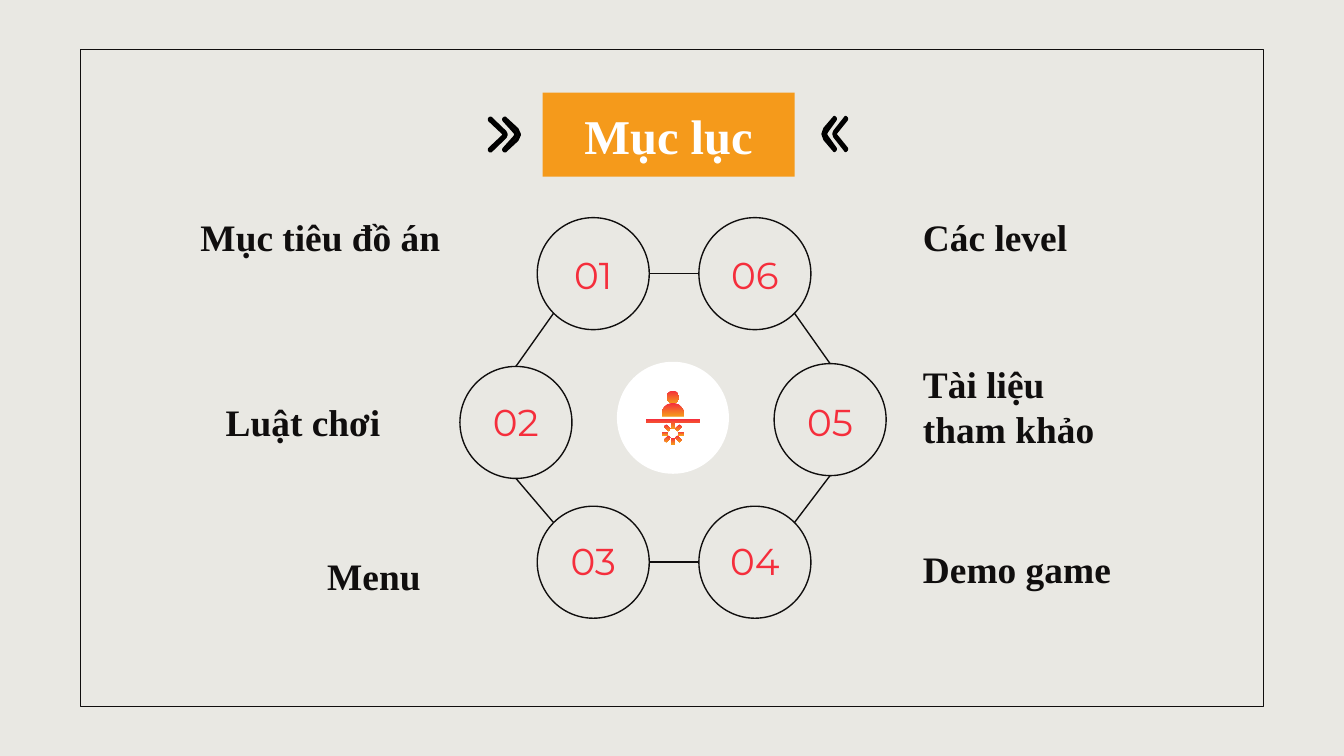
"""Build a table-of-contents slide with a ring of six numbered circles."""
from dataclasses import dataclass
from math import cos, pi, radians, sin

from lxml import etree
from pptx import Presentation
from pptx.dml.color import RGBColor
from pptx.enum.shapes import MSO_CONNECTOR, MSO_SHAPE
from pptx.enum.text import MSO_ANCHOR, MSO_AUTO_SIZE, PP_ALIGN
from pptx.oxml.ns import qn
from pptx.util import Pt

LEFT, CENTER, RIGHT = PP_ALIGN.LEFT, PP_ALIGN.CENTER, PP_ALIGN.RIGHT
MIDDLE, NO_AUTOFIT = MSO_ANCHOR.MIDDLE, MSO_AUTO_SIZE.NONE
RECTANGLE, OVAL = MSO_SHAPE.RECTANGLE, MSO_SHAPE.OVAL
STRAIGHT, CURVE = MSO_CONNECTOR.STRAIGHT, MSO_CONNECTOR.CURVE

COLORS = {
    "background": "E9E8E3",
    "ink": "100E0E",
    "black": "000000",
    "white": "FFFFFF",
    "orange": "F59A1B",
    "red": "F52E3C",
}
SERIF, SANS = "Times New Roman", "Montserrat"
DIAMETER = 60
HAIRLINE = 0.75
INSET = 7.2

BLUNT_CHEVRON = [
    (0.08, 1), (0, 0.97), (0, 0.93), (0.68, 0.57), (0.77, 0.5), (0.68, 0.43),
    (0, 0.07), (0, 0.03), (0.08, 0), (0.85, 0.34), (1, 0.5), (0.85, 0.66),
]
SHARP_CHEVRON = [
    (0.08, 1), (0, 0.97), (0, 0.93), (0.83, 0.53), (0.83, 0.47),
    (0, 0.07), (0, 0.03), (0.08, 0), (0.93, 0.42), (1, 0.5), (0.93, 0.58),
]


@dataclass(frozen=True)
class Entry:
    """A numbered circle and its label, in points."""
    number: str
    left: float
    top: float
    number_top: float
    label: str
    label_box: tuple[float, float, float, float]
    alignment: PP_ALIGN

    def rim(self, angle: float) -> tuple[float, float]:
        """Return the rim point at an angle, clockwise from the right."""
        radius = DIAMETER / 2
        return (self.left + radius * (1 + cos(radians(angle))),
                self.top + radius * (1 + sin(radians(angle))))


@dataclass(frozen=True)
class Link:
    """A line between the rims of two circles."""
    start: str
    start_angle: float
    end: str
    end_angle: float
    kind: MSO_CONNECTOR = STRAIGHT


@dataclass(frozen=True)
class Chevron:
    """An arrow mark, pointing left when mirrored."""
    left: float
    top: float
    width: float
    outline: list[tuple[float, float]]
    mirrored: bool = False


ENTRIES = [
    Entry("01", 287.8, 116.6, 133.9, "Mục tiêu đồ án", (76.3, 105.8, 190.8, 41.8), CENTER),
    Entry("02", 246.4, 196.3, 212.4, "Luật chơi", (113.8, 190.1, 119.5, 71.3), LEFT),
    Entry("03", 287.8, 271.2, 287.3, "Menu", (76.3, 287.3, 156.2, 41.8), RIGHT),
    Entry("04", 374.4, 271.2, 287.3, "Demo game", (487.4, 283.7, 156.2, 41.8), LEFT),
    Entry("05", 414.7, 194.8, 212.4, "Tài liệu tham khảo", (487.4, 196.6, 113, 41.8), LEFT),
    Entry("06", 374.4, 116.6, 133.9, "Các level", (487.4, 105.8, 156.2, 41.8), LEFT),
]
LINKS = [
    Link("01", 0, "06", 180, CURVE),
    Link("04", 180, "03", 0, CURVE),
    Link("02", -90, "01", 135),
    Link("02", 90, "03", -135),
    Link("05", 90, "04", -45),
    Link("06", 45, "05", -90),
]
CHEVRONS = [
    Chevron(262.1, 63.1, 9.2, SHARP_CHEVRON),
    Chevron(269.8, 63.1, 8.6, BLUNT_CHEVRON),
    Chevron(440.8, 62.8, 6.8, BLUNT_CHEVRON, True),
    Chevron(446.6, 62.8, 7, SHARP_CHEVRON, True),
]


def color(name: str) -> RGBColor:
    """Look up a named colour."""
    return RGBColor.from_string(COLORS[name])


def style_shape(shape, fill: str = "", line: str = "", line_width: float = HAIRLINE) -> None:
    """Set the fill and line of a shape and drop its shadow."""
    shape.shadow.inherit = False
    if fill:
        shape.fill.solid()
        shape.fill.fore_color.rgb = color(fill)
    else:
        shape.fill.background()
    if line:
        shape.line.color.rgb = color(line)
        shape.line.width = Pt(line_width)
    else:
        shape.line.fill.background()


def apply_gradient(shape) -> None:
    """Fill a shape from red at the top to orange at the bottom."""
    style_shape(shape)
    shape.fill.gradient()
    shape.fill.gradient_angle = 270
    for stop, name in zip(shape.fill.gradient_stops, ("red", "orange")):
        stop.color.rgb = color(name)


def write_text(shape, text: str, font: str, size: float, name: str,
               alignment: PP_ALIGN, bold: bool = False) -> None:
    """Write one formatted paragraph into a shape."""
    frame = shape.text_frame
    frame.text = text
    frame.word_wrap = True
    frame.auto_size = NO_AUTOFIT
    frame.vertical_anchor = MIDDLE
    frame.margin_left = frame.margin_right = Pt(INSET)
    frame.margin_top = frame.margin_bottom = Pt(INSET)
    paragraph = frame.paragraphs[0]
    paragraph.alignment = alignment
    run = paragraph.runs[0]
    run.font.name, run.font.size, run.font.bold = font, Pt(size), bold
    run.font.color.rgb = color(name)


def add_preset(slide, kind: MSO_SHAPE, box: tuple[float, float, float, float]):
    """Add a preset shape in a box given in points."""
    return slide.shapes.add_shape(kind, *map(Pt, box))


def add_polygon(slide, points: list[tuple[float, float]]):
    """Add a closed outline through points."""
    corners = [(Pt(x), Pt(y)) for x, y in points]
    builder = slide.shapes.build_freeform(*corners[0])
    builder.add_line_segments(corners[1:], close=True)
    return builder.convert_to_shape()


def add_entry(slide, entry: Entry) -> None:
    """Draw a circle with its number and label."""
    circle = add_preset(slide, OVAL, (entry.left, entry.top, DIAMETER, DIAMETER))
    style_shape(circle, line="ink")
    number = slide.shapes.add_textbox(Pt(entry.left), Pt(entry.number_top), Pt(DIAMETER), Pt(26.6))
    write_text(number, entry.number, SANS, 20, "red", CENTER)
    label = slide.shapes.add_textbox(*map(Pt, entry.label_box))
    write_text(label, entry.label, SERIF, 20, "ink", entry.alignment, bold=True)


def add_link(slide, link: Link, entries: dict[str, Entry]) -> None:
    """Draw a line between two circles."""
    start = entries[link.start].rim(link.start_angle)
    end = entries[link.end].rim(link.end_angle)
    connector = slide.shapes.add_connector(link.kind, *map(Pt, start + end))
    connector.line.color.rgb = color("ink")
    connector.line.width = Pt(HAIRLINE)
    etree.SubElement(connector._element.spPr, qn("a:effectLst"))


def add_chevron(slide, chevron: Chevron) -> None:
    """Draw one arrow mark beside the title."""
    points = [(chevron.left + chevron.width * (1 - x if chevron.mirrored else x),
               chevron.top + 18 * y) for x, y in chevron.outline]
    style_shape(add_polygon(slide, points), "ink", "black", 1.5)


def add_person_icon(slide) -> None:
    """Draw the person above a bar and a ring of rays on a white disc."""
    disc = add_preset(slide, OVAL, (330.5, 193.8, DIAMETER, DIAMETER))
    style_shape(disc, "white")
    middle, sun = 360.5, 232.2
    apply_gradient(add_preset(slide, OVAL, (middle - 3.4, 209.4, 6.8, 6.8)))
    dome = [(middle - 5.9 * cos(pi * step / 16), 222 - 6 * sin(pi * step / 16))
            for step in range(17)]
    body = [(middle - 5.9, 223.1), *dome, (middle + 5.9, 223.1)]
    bar = [(middle + x, y) for x, y in (
        (-14.4, 224.6), (-14.4, 226.4), (-0.9, 226.4), (-0.9, 229.7),
        (0.9, 229.7), (0.9, 226.4), (14.4, 226.4), (14.4, 224.6))]
    rays = []
    for angle in range(-45, 270, 45):
        across, down = cos(radians(angle)), sin(radians(angle))
        rays.append([(middle + along * across - side * down, sun + along * down + side * across)
                     for along, side in ((2.5, -0.9), (5.9, -0.9), (5.9, 0.9), (2.5, 0.9))])
    for points in (body, bar, *rays):
        apply_gradient(add_polygon(slide, points))


def main() -> None:
    """Build and save the slide."""
    presentation = Presentation()
    presentation.slide_width, presentation.slide_height = Pt(720), Pt(405)
    slide = presentation.slides.add_slide(presentation.slide_layouts[5])
    slide.background.fill.solid()
    slide.background.fill.fore_color.rgb = color("background")

    title = slide.shapes.title
    title.left, title.top, title.width, title.height = map(Pt, (290.7, 49.6, 135, 45))
    title.fill.solid()
    title.fill.fore_color.rgb = color("orange")
    write_text(title, "Mục lục", SERIF, 26, "white", CENTER, bold=True)

    style_shape(add_preset(slide, RECTANGLE, (43.2, 26.6, 633.6, 351.8)), line="ink")
    for entry in ENTRIES:
        add_entry(slide, entry)
    entries = {entry.number: entry for entry in ENTRIES}
    for link in LINKS:
        add_link(slide, link, entries)
    for chevron in CHEVRONS:
        add_chevron(slide, chevron)
    add_person_icon(slide)
    presentation.save("out.pptx")


if __name__ == "__main__":
    main()
